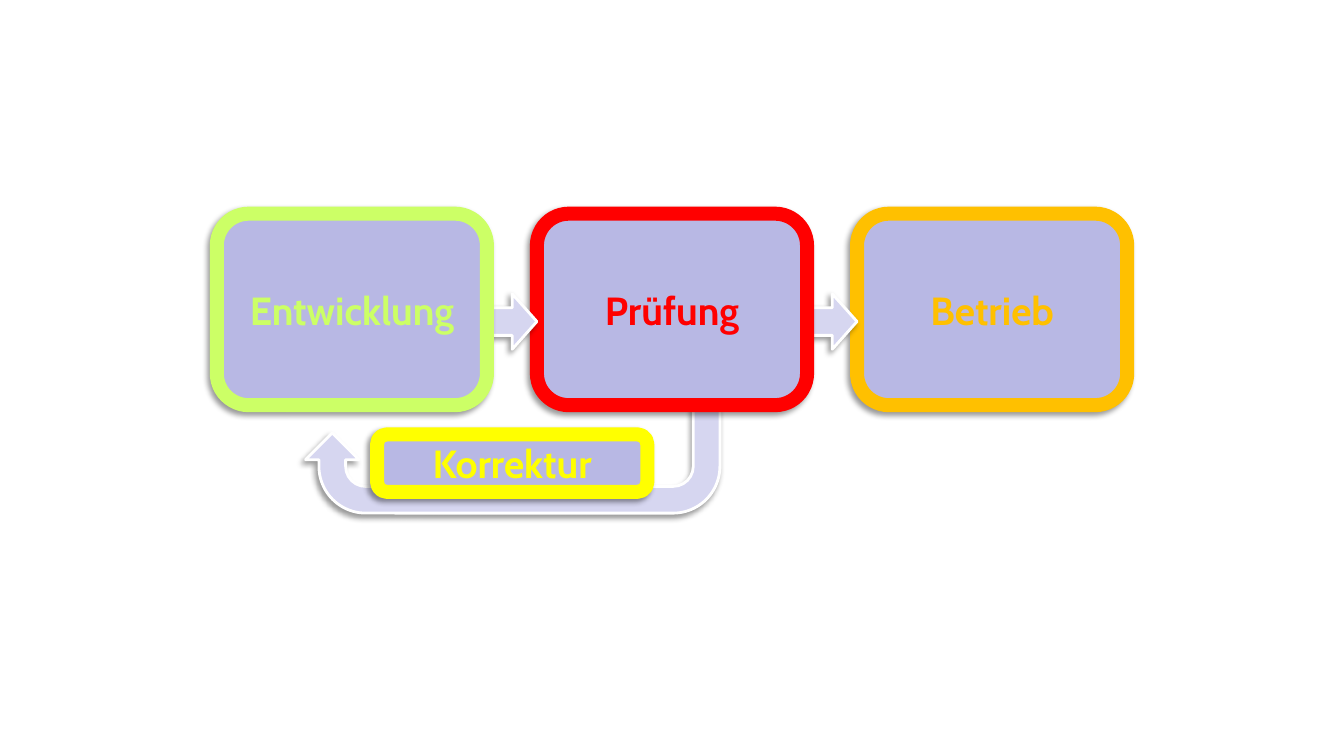
import dataclasses
import typing

import lxml.etree
import pptx
import pptx.dml.color
import pptx.enum.shapes
import pptx.enum.text
import pptx.oxml
import pptx.oxml.ns
import pptx.shapes.autoshape
import pptx.util

Inches = pptx.util.Inches
SHAPE = pptx.enum.shapes.MSO_SHAPE

BOX_FILL = "B8B8E4"
ARROW_FILL = "D6D6F0"
WHITE = "FFFFFF"
SHADOW = (
    f'<a:effectLst {pptx.oxml.ns.nsdecls("a")}>'
    '<a:outerShdw blurRad="50800" dist="38100" dir="8100000" rotWithShape="0">'
    '<a:srgbClr val="000000"><a:alpha val="40000"/></a:srgbClr>'
    "</a:outerShdw></a:effectLst>"
)

# Process steps stand at an equal pitch, each later one with an arrow in its gap
STEP_LEFT, STEP_TOP, STEP_WIDTH, STEP_HEIGHT = 2.15, 2.12, 2.68, 1.9
STEP_PITCH = (8.5 - STEP_LEFT) / 2
ARROW_WIDTH, ARROW_HEIGHT = 0.49, 0.55


@dataclasses.dataclass
class Box:
    label: str
    color: str
    left: float
    top: float = STEP_TOP
    width: float = STEP_WIDTH
    height: float = STEP_HEIGHT


STEPS = [
    Box(label, color, STEP_LEFT + index * STEP_PITCH)
    for index, (label, color) in enumerate(
        [("Entwicklung", "CCFF66"), ("Prüfung", "FF0000"), ("Betrieb", "FFC000")]
    )
]
CORRECTION = Box("Korrektur", "FFFF00", 3.74, 4.31, 2.68, 0.57)


def rgb(color: str) -> pptx.dml.color.RGBColor:
    return pptx.dml.color.RGBColor.from_string(color)


def apply_format(target: typing.Any, values: dict[str, typing.Any]) -> None:
    for name, value in values.items():
        setattr(target, name, value)


def add_shape(kind: SHAPE, left: float, top: float, width: float, height: float,
              fill: str, line: str, line_width: float) -> pptx.shapes.autoshape.Shape:
    shape = slide.shapes.add_shape(
        kind, Inches(left), Inches(top), Inches(width), Inches(height)
    )
    shape.fill.solid()
    shape.fill.fore_color.rgb = rgb(fill)
    shape.line.color.rgb = rgb(line)
    shape.line.width = pptx.util.Pt(line_width)
    shape.element.spPr.append(pptx.oxml.parse_xml(SHADOW))
    return shape


def add_arrow(kind: SHAPE, left: float, top: float, width: float,
              height: float) -> pptx.shapes.autoshape.Shape:
    return add_shape(kind, left, top, width, height, ARROW_FILL, WHITE, 2)


def add_box(box: Box) -> None:
    shape = add_shape(SHAPE.ROUNDED_RECTANGLE, box.left, box.top, box.width,
                      box.height, BOX_FILL, box.color, 10)
    apply_format(shape.text_frame, {
        "vertical_anchor": pptx.enum.text.MSO_ANCHOR.MIDDLE,
        "word_wrap": True,
        "margin_left": 0, "margin_right": 0, "margin_top": 0, "margin_bottom": 0,
    })
    paragraph = shape.text_frame.paragraphs[0]
    paragraph.alignment = pptx.enum.text.PP_ALIGN.CENTER
    run = paragraph.add_run()
    run.text = box.label
    apply_format(run.font, {"name": "Cabin", "size": pptx.util.Pt(28), "bold": True})
    run.font.color.rgb = rgb(box.color)


presentation = pptx.Presentation()
apply_format(presentation, {"slide_width": Inches(13.33), "slide_height": Inches(7.5)})
slide = presentation.slides.add_slide(presentation.slide_layouts[6])

# Return path from Prüfung to Entwicklung, with its label
return_arrow = add_arrow(SHAPE.U_TURN_ARROW, 3.03, 4.03, 4.11, 1.06)
return_arrow.rotation = 180
add_box(CORRECTION)

# Steps from right to left, so that each arrow tip lies over the next step
for index, step in reversed(list(enumerate(STEPS))):
    add_box(step)
    if index > 0:
        arrow_top = STEP_TOP + (STEP_HEIGHT - ARROW_HEIGHT) / 2 + 0.12
        add_arrow(SHAPE.RIGHT_ARROW, step.left - ARROW_WIDTH, arrow_top,
                  ARROW_WIDTH, ARROW_HEIGHT)

presentation.save("out.pptx")
